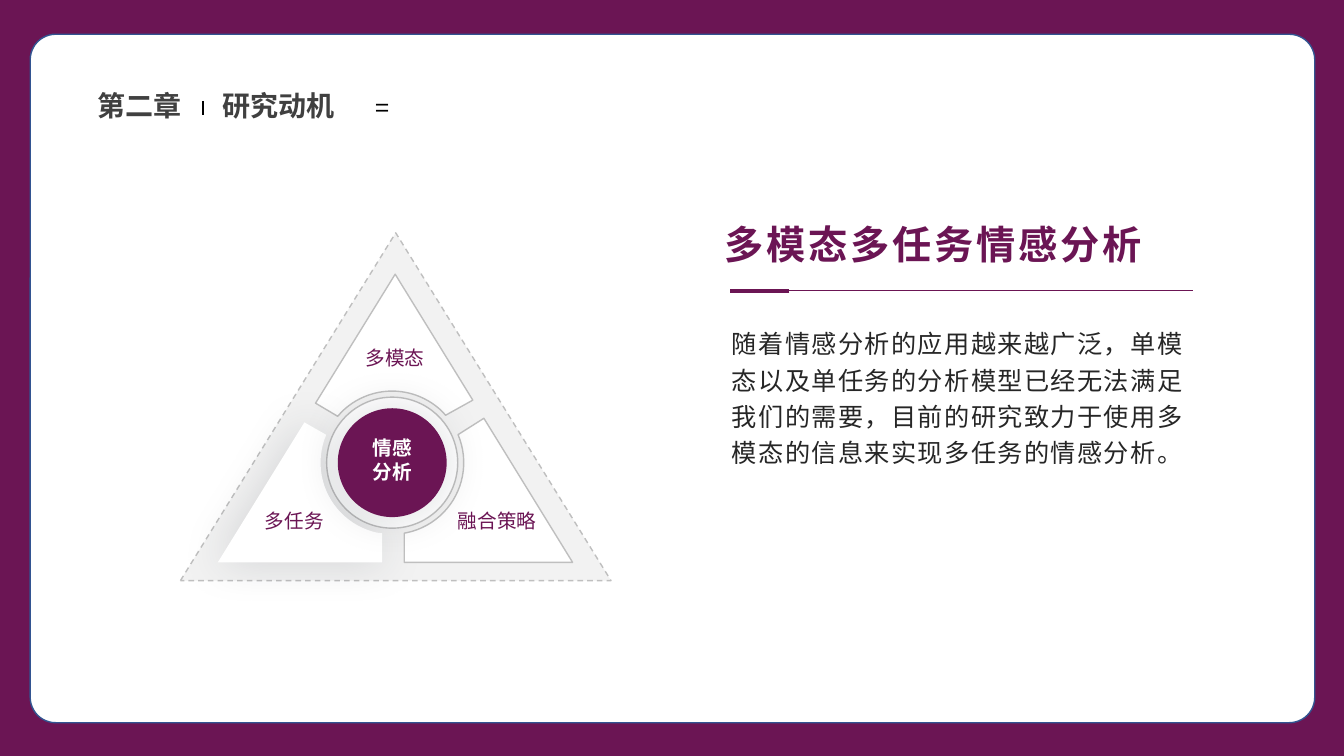
import math

from lxml import etree
from pptx import Presentation
from pptx.dml.color import RGBColor
from pptx.enum import dml, shapes, text
from pptx.oxml import ns
from pptx.util import Inches, Pt

PLUM = RGBColor(0x6B, 0x15, 0x54)
WHITE = RGBColor(0xFF, 0xFF, 0xFF)
BLACK = RGBColor(0, 0, 0)
NAVY = RGBColor(0x32, 0x54, 0x91)
HEADING = RGBColor(0x40, 0x40, 0x40)
INK = RGBColor(0x26, 0x26, 0x26)
MIST = RGBColor(0xF2, 0xF2, 0xF2)
SILVER = RGBColor(0xBF, 0xBF, 0xBF)
SHADE = RGBColor(0x22, 0x2A, 0x35)
FONT = "Noto Sans CJK SC"
SHAPE = shapes.MSO_SHAPE
ALIGN = text.PP_ALIGN


def sub(parent, tag, **attributes):
    return etree.SubElement(parent, ns.qn(tag), attributes)


def paint(shape, fill, outline=None, glow=False):
    shape.fill.solid()
    shape.fill.fore_color.rgb = fill
    if outline is None:
        shape.line.fill.background()
    else:
        shape.line.color.rgb = outline
        shape.line.width = Pt(1)
    shape.shadow.inherit = False
    if glow:
        effects = shape._element.spPr.find(ns.qn("a:effectLst"))
        shadow = sub(effects, "a:outerShdw", blurRad=str(Pt(32)), dist="0",
                     dir="0", algn="ctr", rotWithShape="0")
        color = sub(shadow, "a:srgbClr", val=str(SHADE))
        sub(color, "a:alpha", val="15000")
    return shape


def preset(container, kind, x, y, w, h, *style, **options):
    shape = container.add_shape(kind, Inches(x), Inches(y), Inches(w), Inches(h))
    return paint(shape, *style, **options)


def write(frame, words, size, color, bold=False, align=ALIGN.LEFT, spacing=0, wrap=True):
    frame.text = words
    frame.word_wrap = wrap
    frame.auto_size = text.MSO_AUTO_SIZE.NONE
    frame.vertical_anchor = text.MSO_ANCHOR.TOP
    for paragraph in frame.paragraphs:
        paragraph.alignment = align
        font = paragraph.font
        font.size, font.bold, font.name = Pt(size), bold, FONT
        font.color.rgb = color
        defaults = paragraph._p.pPr.find(ns.qn("a:defRPr"))
        defaults.set("spc", str(spacing * 100))
        sub(defaults, "a:ea", typeface=FONT)


def label(container, words, x, y, w, h, *style, **options):
    box = container.add_textbox(Inches(x), Inches(y), Inches(w), Inches(h))
    write(box.text_frame, words, *style, **options)


def rule(container, x1, y1, x2, y2, color, width):
    line = container.add_connector(shapes.MSO_CONNECTOR.STRAIGHT,
                                   Inches(x1), Inches(y1), Inches(x2), Inches(y2))
    line.line.color.rgb = color
    line.line.width = Pt(width)
    sub(line._element.spPr, "a:effectLst")


def place(placeholder, x, y, w, h):
    placeholder.left, placeholder.top = Inches(x), Inches(y)
    placeholder.width, placeholder.height = Inches(w), Inches(h)


def add_frame(slide, w, h):
    preset(slide.shapes, SHAPE.RECTANGLE, 0, 0, w, h, PLUM)
    panel = preset(slide.shapes, SHAPE.ROUNDED_RECTANGLE, 0.3, 0.34,
                   w - 0.59, h - 0.67, WHITE, NAVY)
    panel.adjustments[0] = 0.037


def add_chapter(slide, x, y):
    label(slide.shapes, "第二章", x, y, 1.03, 0.44, 20, HEADING, True, wrap=False)
    label(slide.shapes, "研究动机", x + 1.24, y, 1.31, 0.44, 20, HEADING, True, wrap=False)
    label(slide.shapes, "=", x + 2.76, y + 0.04, 4.06, 0.4, 18, BLACK, align=ALIGN.JUSTIFY)
    rule(slide.shapes, x + 1.14, y + 0.17, x + 1.14, y + 0.31, BLACK, 1.5)


def add_triangle(slide, x, y, w, h):
    parts = slide.shapes.add_group_shape().shapes
    center_x, center_y = x + 2.1, y + 2.28

    def disc(radius, *style, **options):
        preset(parts, SHAPE.OVAL, center_x - radius, center_y - radius,
               2 * radius, 2 * radius, *style, **options)

    def sector(before, start, end, after, **style):
        angles = [math.radians(start + (end - start) * i / 24) for i in range(25)]
        arc = [(center_x + 0.71 * math.cos(a), center_y - 0.71 * math.sin(a)) for a in angles]
        outline = ([(x + dx, y + dy) for dx, dy in before] + arc
                   + [(x + dx, y + dy) for dx, dy in after])
        points = [(Inches(px), Inches(py)) for px, py in outline]
        builder = parts.build_freeform(*points[0])
        builder.add_line_segments(points[1:], close=True)
        paint(builder.convert_to_shape(), WHITE, **style)

    backdrop = preset(parts, SHAPE.ISOSCELES_TRIANGLE, x, y, w, h, MIST, SILVER)
    backdrop.line.dash_style = dml.MSO_LINE.DASH
    disc(0.65, WHITE, SILVER)
    sector([(2.13, 0.41), (2.9, 1.66), (2.63, 1.81)], 45, 135,
           [(1.56, 1.82), (1.34, 1.69)], outline=SILVER)
    sector([(1.23, 1.88), (1.44, 2)], 157, 258,
           [(2, 2.98), (2, 3.27), (0.37, 3.27)], glow=True)
    sector([(3.01, 1.84), (3.89, 3.27), (2.22, 3.27), (2.22, 2.98)], 282, 383,
           [], outline=SILVER)
    disc(0.54, PLUM, glow=True)
    label(parts, "情感\n分析", x + 1.81, y + 1.97, 0.59, 0.57, 14, WHITE, True,
          ALIGN.JUSTIFY, wrap=False)
    for words, dx, dy, width in (("多模态", 1.74, 1.07, 0.78),
                                 ("融合策略", 2.65, 2.69, 0.98),
                                 ("多任务", 0.74, 2.69, 0.78)):
        label(parts, words, x + dx, y + dy, width, 0.34, 14, PLUM,
              align=ALIGN.CENTER, wrap=False)


def add_motivation(slide, x, y):
    title, body = slide.shapes.title, slide.placeholders[1]
    for placeholder in (body, title):
        slide.shapes._spTree.append(placeholder._element)
    place(title, x, y, 5.36, 0.57)
    write(title.text_frame, "多模态多任务情感分析", 28, PLUM, True, spacing=2)
    place(body, x + 0.07, y + 1.01, 4.78, 2.09)
    write(body.text_frame,
          "随着情感分析的应用越来越广泛，单模态以及单任务的分析模型已经无法满足我们的需要，"
          "目前的研究致力于使用多模态的信息来实现多任务的情感分析。", 18, INK, spacing=1)
    paragraph = body.text_frame.paragraphs[0]
    paragraph.line_spacing = 1.2
    paragraph.space_before = Pt(0)
    properties = paragraph._p.pPr
    properties.set("marL", "0")
    properties.set("indent", "0")
    properties.find(ns.qn("a:defRPr")).addprevious(
        etree.Element(ns.qn("a:buNone")))
    rule(slide.shapes, x + 4.74, y + 0.74, x + 0.47, y + 0.74, PLUM, 0.5)
    rule(slide.shapes, x + 0.74, y + 0.75, x + 0.15, y + 0.75, PLUM, 3)


def main():
    deck = Presentation()
    deck.slide_width, deck.slide_height = Inches(13.33), Inches(7.5)
    slide = deck.slides.add_slide(deck.slide_layouts[1])
    add_frame(slide, 13.33, 7.5)
    add_chapter(slide, 0.87, 0.83)
    add_triangle(slide, 1.79, 2.31, 4.27, 3.45)
    add_motivation(slide, 7.09, 2.14)
    deck.save("out.pptx")


if __name__ == "__main__":
    main()
